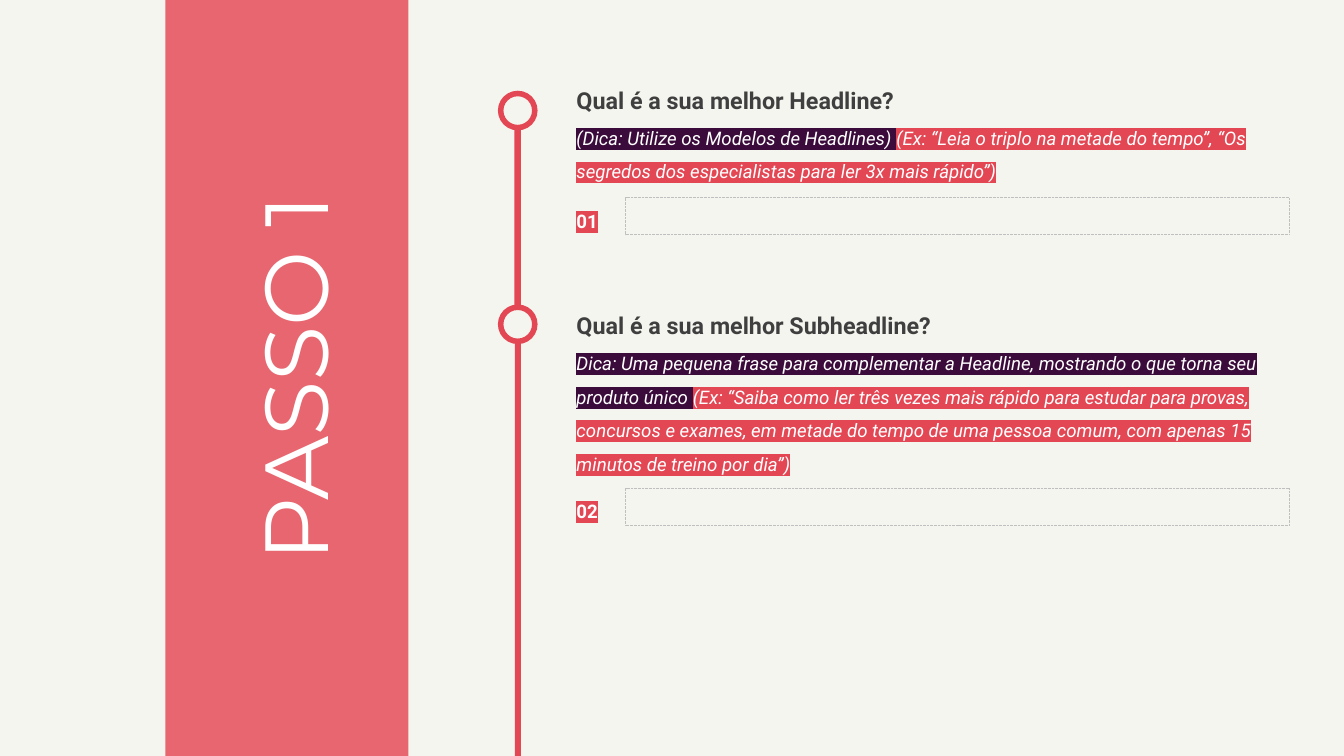
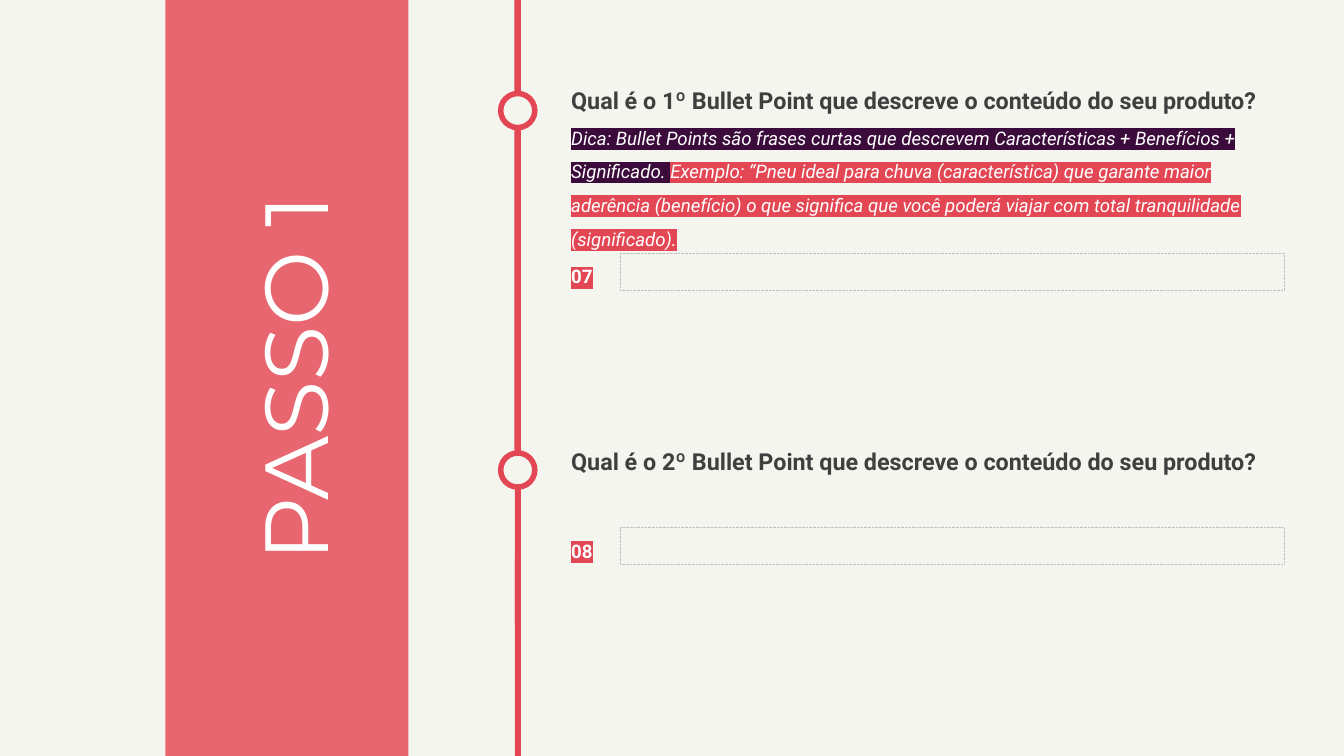
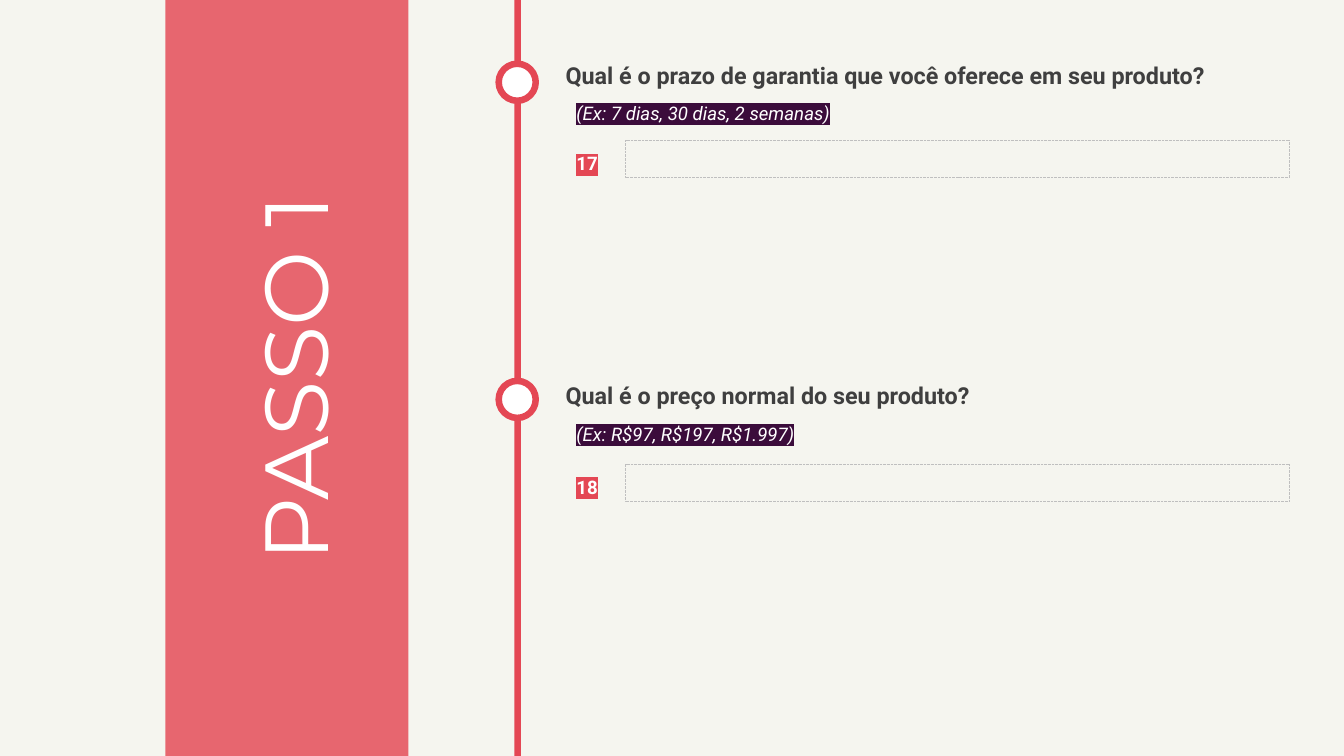
import dataclasses
import lxml.etree
import pptx
import pptx.dml.color
import pptx.enum.dml
import pptx.enum.shapes
import pptx.enum.text
import pptx.oxml.ns
import pptx.util

Cm = pptx.util.Cm
Pt = pptx.util.Pt
Rgb = pptx.dml.color.RGBColor.from_string
qn = pptx.oxml.ns.qn
Kind = pptx.enum.shapes.MSO_SHAPE
Align = pptx.enum.text.PP_ALIGN


@dataclasses.dataclass(frozen=True)
class Theme:
    paper: str = "F5F5EF"
    red: str = "E44754"
    plum: str = "3B0C3B"
    ink: str = "3F3F3F"
    white: str = "FFFFFF"
    grey: str = "BFBFBF"
    head: str = "Montserrat"
    body: str = "Roboto"
    title: int = 96
    ask: int = 25
    hint: int = 20


theme = Theme()
styles = {
    "title": {"name": theme.head, "size": Pt(theme.title)},
    "ask": {"name": theme.body, "size": Pt(theme.ask), "bold": True},
    "hint": {"name": theme.body, "size": Pt(theme.hint), "italic": True},
    "num": {"name": theme.body, "size": Pt(theme.hint), "bold": True},
}

high = 28.58
edge = 19.69
pages = [
    {
        "bars": [(4.85, 6.76, 0.25), (12.95, 15.63, 0.23)],
        "rings": [3.43, 11.51],
        "dots": [],
        "asks": [
            {"text": "Qual é a sua melhor Headline?",
             "left": 21.54, "top": 3.12, "wide": 24.87,
             "tip": "(Dica: Utilize os Modelos de Headlines) ",
             "case": "(Ex: “Leia o triplo na metade do tempo”, “Os segredos dos "
                     "especialistas para ler 3x mais rápido”)",
             "tall": 2.67, "num": "01", "row": 7.39, "side": 21.54},
            {"text": "Qual é a sua melhor Subheadline?",
             "left": 21.54, "top": 11.63, "wide": 24.87,
             "tip": "Dica: Uma pequena frase para complementar a Headline, "
                    "mostrando o que torna seu produto único ",
             "case": "(Ex: “Saiba como ler três vezes mais rápido para estudar para "
                     "provas, concursos e exames, em metade do tempo de uma pessoa "
                     "comum, com apenas 15 minutos de treino por dia”)",
             "tall": 5.23, "num": "02", "row": 18.36, "side": 21.54},
        ],
    },
    {
        "bars": [(0, 3.53, 0.25), (4.85, 12.27, 0.25),
                 (18.44, 5.16, 0.23), (21.11, 7.47, 0.23)],
        "rings": [3.43, 17.02],
        "dots": [],
        "asks": [
            {"text": "Qual é o 1º Bullet Point que descreve o conteúdo do seu produto?",
             "left": 21.34, "top": 3.12, "wide": 26.8,
             "tip": "Dica: Bullet Points são frases curtas que descrevem "
                    "Características + Benefícios + Significado. ",
             "case": "Exemplo: “Pneu ideal para chuva (característica) que garante "
                     "maior aderência (benefício) o que significa que você poderá "
                     "viajar com total tranquilidade (significado).",
             "tall": 5.23, "num": "07", "row": 9.48, "side": 21.34},
            {"text": "Qual é o 2º Bullet Point que descreve o conteúdo do seu produto?",
             "left": 21.34, "top": 16.79, "wide": 27.43,
             "tip": "", "case": "",
             "tall": 0, "num": "08", "row": 19.86, "side": 21.34},
        ],
    },
    {
        "bars": [(0, high, 0.25)],
        "rings": [],
        "dots": [2.41, 14.4],
        "asks": [
            {"text": "Qual é o prazo de garantia que você oferece em seu produto?",
             "left": 21.13, "top": 2.18, "wide": 26.8,
             "tip": "(Ex: 7 dias, 30 dias, 2 semanas)", "case": "",
             "tall": 1.4, "num": "17", "row": 5.21, "side": 21.54},
            {"text": "Qual é o preço normal do seu produto?",
             "left": 21.13, "top": 14.3, "wide": 26.8,
             "tip": "(Ex: R$97, R$197, R$1.997)", "case": "",
             "tall": 1.4, "num": "18", "row": 17.45, "side": 21.54},
        ],
    },
]


def draw(slide, kind, area, fill=None, line=None, width=0.75):
    shape = slide.shapes.add_shape(kind, *map(Cm, area))
    shape.shadow.inherit = False
    if fill:
        shape.fill.solid()
        shape.fill.fore_color.rgb = Rgb(fill)
    else:
        shape.fill.background()
    if line:
        shape.line.color.rgb = Rgb(line)
        shape.line.width = Pt(width)
    else:
        shape.line.fill.background()
    return shape


def write(slide, area, style, runs, space=None, align=None):
    box = slide.shapes.add_textbox(*map(Cm, area))
    frame = box.text_frame
    frame.word_wrap = True
    frame.auto_size = pptx.enum.text.MSO_AUTO_SIZE.SHAPE_TO_FIT_TEXT
    para = frame.paragraphs[0]
    para.line_spacing = space
    para.alignment = align
    for text, ink, mark in runs:
        run = para.add_run()
        run.text = text
        for key, value in styles[style].items():
            setattr(run.font, key, value)
        run.font.color.rgb = Rgb(ink)
        if mark:
            glow = lxml.etree.Element(qn("a:highlight"))
            lxml.etree.SubElement(glow, qn("a:srgbClr"), val=mark)
            run.font._element.find(qn("a:solidFill")).addnext(glow)
    return box


deck = pptx.Presentation()
deck.slide_width = Cm(50.8)
deck.slide_height = Cm(high)
back = deck.slide_master.background.fill
back.solid()
back.fore_color.rgb = Rgb(theme.paper)

for page in pages:
    slide = deck.slides.add_slide(deck.slide_layouts[6])

    band = draw(slide, Kind.RECTANGLE, (6.25, 0, 9.19, high), theme.red)
    tint = band._element.spPr.find(qn("a:solidFill"))[0]
    lxml.etree.SubElement(tint, qn("a:alpha"), val="82000")
    title = write(slide, (1.98, 12.12, 18.24, 4.37), "title",
                  [("PASSO 1", theme.white, None)], align=Align.CENTER)
    title.rotation = 270

    for top, tall, wide in page["bars"]:
        draw(slide, Kind.RECTANGLE, (edge - wide, top, wide, tall), theme.red)
    for top in page["rings"]:
        ring = draw(slide, Kind.DONUT, (18.82, top, 1.5, 1.5), theme.red)
        ring.adjustments[0] = 0.14
    for top in page["dots"]:
        draw(slide, Kind.OVAL, (18.85, top, 1.4, 1.4), theme.white, theme.red, 7)

    for ask in page["asks"]:
        write(slide, (ask["left"], ask["top"], ask["wide"], 1.32), "ask",
              [(ask["text"], theme.ink, None)])
        marks = [(ask["tip"], theme.plum), (ask["case"], theme.red)]
        hints = [(text, theme.white, mark) for text, mark in marks if text]
        if hints:
            write(slide, (ask["side"], ask["top"] + 1.12, 27.43, ask["tall"]),
                  "hint", hints, 1.5)
        write(slide, (ask["side"], ask["row"], 2.11, 1.4), "num",
              [(ask["num"], theme.white, theme.red)], 1.5)
        field = draw(slide, Kind.RECTANGLE,
                     (ask["side"] + 2.11, ask["row"] + 0.09, 25.1, 1.4),
                     line=theme.grey)
        field.line.dash_style = pptx.enum.dml.MSO_LINE.ROUND_DOT

deck.save("out.pptx")
